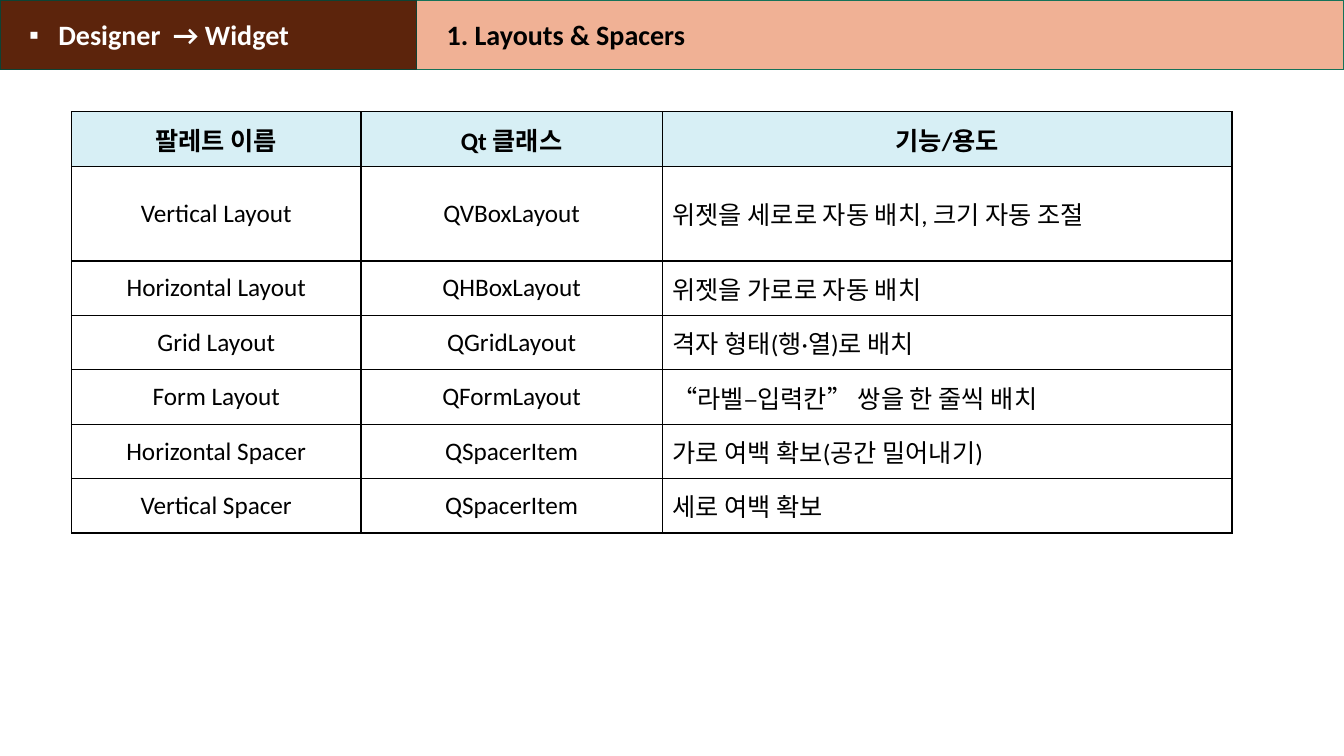
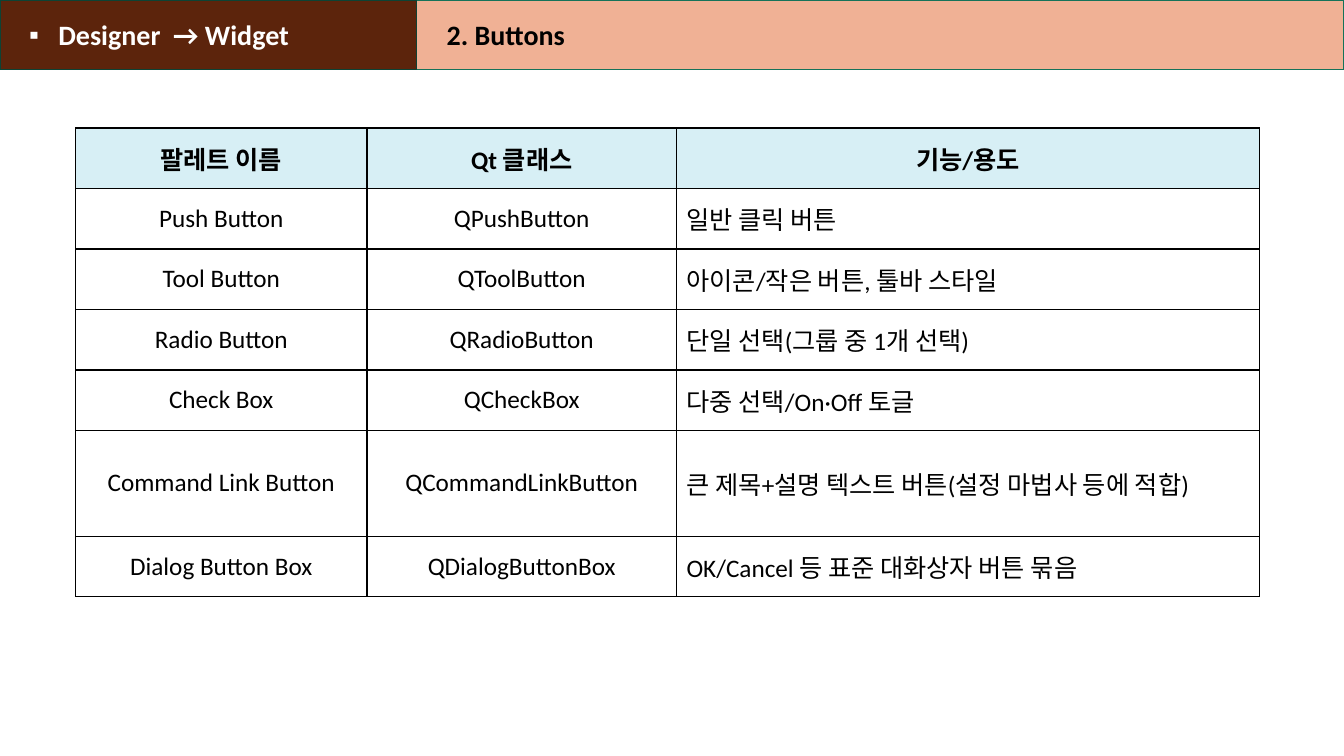
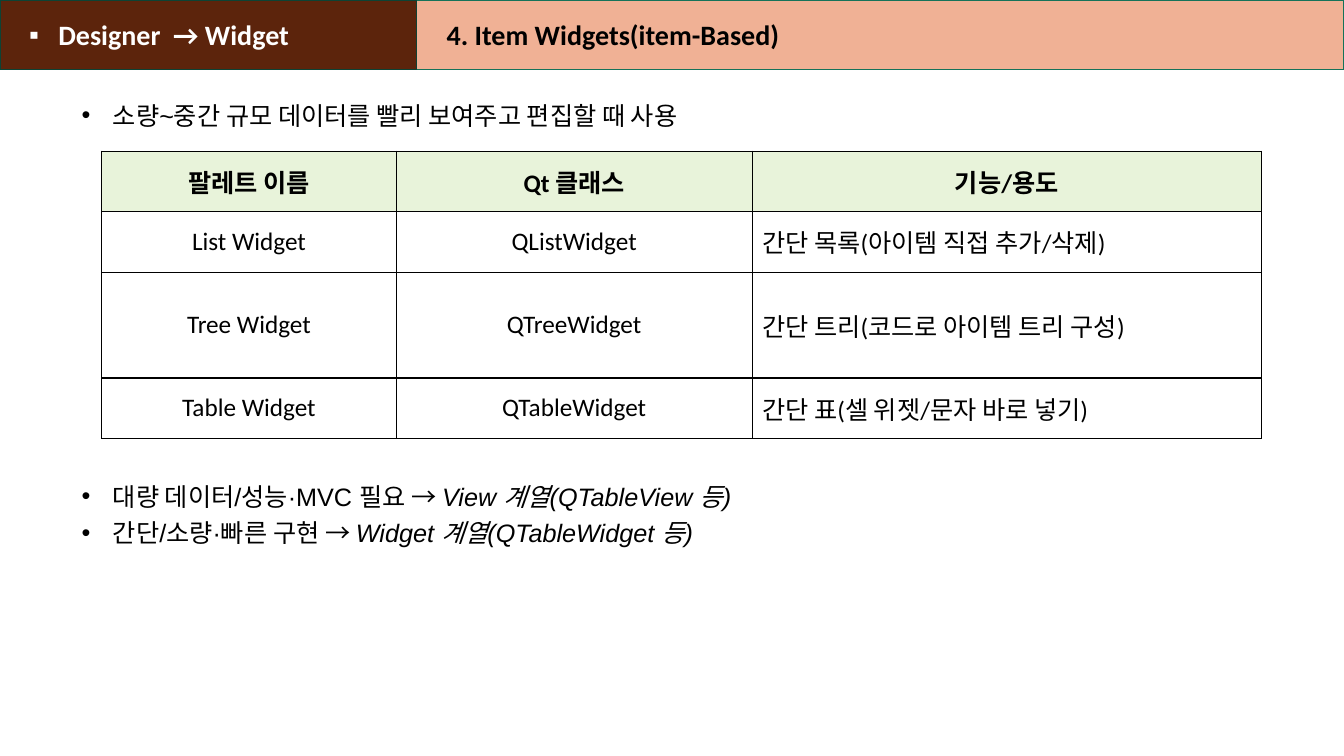
import dataclasses

import lxml.etree
import pptx
import pptx.dml.color
import pptx.enum.shapes
import pptx.enum.text
import pptx.oxml.ns
import pptx.util

Inches, Pt = pptx.util.Inches, pptx.util.Pt
ALIGN = pptx.enum.text.PP_ALIGN
MIDDLE = pptx.enum.text.MSO_ANCHOR.MIDDLE
TOP = pptx.enum.text.MSO_ANCHOR.TOP
qn = pptx.oxml.ns.qn


@dataclasses.dataclass(frozen=True)
class Theme:
    black: str = "000000"
    white: str = "FFFFFF"
    tab_fill: str = "5C240C"
    tab_line: str = "0D4335"
    title_fill: str = "F0B195"
    title_line: str = "157259"
    blue_head: str = "D7EFF5"
    green_head: str = "E8F3DA"
    font: str = "Calibri"
    list_font: str = "Arial"
    title_size: int = 20
    text_size: int = 18
    list_spacing: int = 26
    line_width: int = 1


THEME = Theme()
WIDTH, HEIGHT = 13.33, 7.5
TAB_WIDTH, BAND_HEIGHT = 4.13, 0.69
TAB_BOX = (0, 0, TAB_WIDTH, BAND_HEIGHT)
TITLE_BOX = (TAB_WIDTH, 0, WIDTH - TAB_WIDTH, BAND_HEIGHT)
TITLE_ONLY, TWO_CONTENT = 5, 3
SECTION = "Designer  → Widget"
HEADINGS = ("팔레트 이름", "Qt 클래스", "기능/용도")

SLIDES = [
    dict(
        title="1. Layouts & Spacers",
        at=(0.71, 1.11),
        cols=(2.87, 2.99, 5.65),
        row_height=0.54,
        tall_row=(1, 0.94),
        head=THEME.blue_head,
        rows=[
            ("Vertical Layout", "QVBoxLayout", "위젯을 세로로 자동 배치, 크기 자동 조절"),
            ("Horizontal Layout", "QHBoxLayout", "위젯을 가로로 자동 배치"),
            ("Grid Layout", "QGridLayout", "격자 형태(행·열)로 배치"),
            ("Form Layout", "QFormLayout", "“라벨–입력칸” 쌍을 한 줄씩 배치"),
            ("Horizontal Spacer", "QSpacerItem", "가로 여백 확보(공간 밀어내기)"),
            ("Vertical Spacer", "QSpacerItem", "세로 여백 확보"),
        ],
    ),
    dict(
        title="2. Buttons",
        at=(0.75, 1.27),
        cols=(2.89, 3.07, 5.78),
        row_height=0.6,
        tall_row=(5, 1.05),
        head=THEME.blue_head,
        rows=[
            ("Push Button", "QPushButton", "일반 클릭 버튼"),
            ("Tool Button", "QToolButton", "아이콘/작은 버튼, 툴바 스타일"),
            ("Radio Button", "QRadioButton", "단일 선택(그룹 중 1개 선택)"),
            ("Check Box", "QCheckBox", "다중 선택/On·Off 토글"),
            ("Command Link Button", "QCommandLinkButton", "큰 제목+설명 텍스트 버튼(설정 마법사 등에 적합)"),
            ("Dialog Button Box", "QDialogButtonBox", "OK/Cancel 등 표준 대화상자 버튼 묶음"),
        ],
    ),
    dict(
        title="4. Item Widgets(item-Based)",
        at=(1.01, 1.5),
        cols=(2.92, 3.53, 5.05),
        row_height=0.6,
        tall_row=(2, 1.05),
        head=THEME.green_head,
        rows=[
            ("List Widget", "QListWidget", "간단 목록(아이템 직접 추가/삭제)"),
            ("Tree Widget", "QTreeWidget", "간단 트리(코드로 아이템 트리 구성)"),
            ("Table Widget", "QTableWidget", "간단 표(셀 위젯/문자 바로 넣기)"),
        ],
        # Each list item is a plain part and an italic part
        lists=[
            ((0.71, 0.88, 7.48, 0.43), [("소량~중간 규모 데이터를 빨리 보여주고 편집할 때 사용", "")]),
            ((0.71, 4.66, 7.48, 0.79), [
                ("대량 데이터/성능·MVC 필요 → ", "View 계열(QTableView 등)"),
                ("간단/소량·빠른 구현 → ", "Widget 계열(QTableWidget 등)"),
            ]),
        ],
    ),
]


def rgb(color):
    return pptx.dml.color.RGBColor.from_string(color)


def set_all(target, values):
    for name, value in values.items():
        setattr(target, name, value)


def place(sp, box):
    set_all(sp, dict(zip(("left", "top", "width", "height"), map(Inches, box))))


def add_run(p, text, size, color=THEME.black, font=THEME.font, bold=False, italic=False):
    r = p.add_run()
    r.text = text
    set_all(r.font, dict(name=font, size=Pt(size), bold=bold, italic=italic))
    r.font.color.rgb = rgb(color)


def set_indent(p, left, first=0, bullet=None):
    pPr = p._p.get_or_add_pPr()
    pPr.set("marL", str(Inches(left)))
    pPr.set("indent", str(Inches(first)))
    if bullet:
        lxml.etree.SubElement(pPr, qn("a:buFont")).set("typeface", THEME.list_font)
        lxml.etree.SubElement(pPr, qn("a:buChar")).set("char", bullet)


def format_frame(tf, anchor):
    set_all(tf, dict(word_wrap=True, vertical_anchor=anchor,
                     auto_size=pptx.enum.text.MSO_AUTO_SIZE.NONE))


def format_band(sp, box, text, fill, line, color, **indent):
    place(sp, box)
    sp.fill.solid()
    sp.fill.fore_color.rgb = rgb(fill)
    sp.line.color.rgb = rgb(line)
    sp.line.width = Pt(THEME.line_width)
    format_frame(sp.text_frame, MIDDLE)
    p = sp.text_frame.paragraphs[0]
    p.alignment = ALIGN.LEFT
    set_indent(p, **indent)
    add_run(p, text, THEME.title_size, color, bold=True)


def add_header(s, title):
    # Title band, then the section tab beside it
    format_band(s.shapes.title, TITLE_BOX, title, THEME.title_fill,
                THEME.title_line, THEME.black, left=0.2)
    tab = s.shapes.add_shape(pptx.enum.shapes.MSO_SHAPE.RECTANGLE, *map(Inches, TAB_BOX))
    tab.shadow.inherit = False
    format_band(tab, TAB_BOX, SECTION, THEME.tab_fill, THEME.tab_line,
                THEME.white, left=0.48, first=-0.29, bullet="▪")


def add_borders(cell):
    tcPr = cell._tc.get_or_add_tcPr()
    for i, side in enumerate("LRTB"):
        ln = lxml.etree.Element(qn("a:ln" + side), w=str(Pt(THEME.line_width)))
        fill = lxml.etree.SubElement(ln, qn("a:solidFill"))
        lxml.etree.SubElement(fill, qn("a:srgbClr")).set("val", THEME.black)
        tcPr.insert(i, ln)


def format_cell(cell, text, align, head=None):
    cell.vertical_anchor = MIDDLE
    if head:
        cell.fill.solid()
        cell.fill.fore_color.rgb = rgb(head)
    else:
        cell.fill.background()
    add_borders(cell)
    p = cell.text_frame.paragraphs[0]
    p.alignment = align
    add_run(p, text, THEME.text_size, bold=bool(head))


def add_class_table(s, at, cols, rows, row_height, tall_row, head):
    rows = [HEADINGS, *rows]
    heights = [row_height] * len(rows)
    heights[tall_row[0]] = tall_row[1]
    box = (*at, sum(cols), sum(heights))
    table = s.shapes.add_table(len(rows), len(cols), *map(Inches, box)).table
    set_all(table, dict(first_row=False, horz_banding=False))
    for col, width in zip(table.columns, cols):
        col.width = Inches(width)
    for row, height in zip(table.rows, heights):
        row.height = Inches(height)
    for i, texts in enumerate(rows):
        for j, text in enumerate(texts):
            # Only descriptions are left-aligned
            align = ALIGN.LEFT if i and j == 2 else ALIGN.CENTER
            format_cell(table.cell(i, j), text, align, head if i == 0 else None)


def fill_list(sp, box, items):
    place(sp, box)
    tf = sp.text_frame
    format_frame(tf, TOP)
    for i, (plain, italic) in enumerate(items):
        p = tf.add_paragraph() if i else tf.paragraphs[0]
        set_all(p, dict(line_spacing=Pt(THEME.list_spacing), space_before=Pt(0),
                        alignment=ALIGN.LEFT))
        set_indent(p, 0.31, -0.31, "•")
        add_run(p, plain, THEME.text_size, font=THEME.list_font)
        if italic:
            add_run(p, italic, THEME.text_size, font=THEME.list_font, italic=True)


def add_class_slide(prs, title, lists=(), **table):
    layout = prs.slide_layouts[TWO_CONTENT if lists else TITLE_ONLY]
    s = prs.slides.add_slide(layout)
    add_header(s, title)
    add_class_table(s, **table)
    # Notes above and below the table
    bodies = list(s.placeholders)[1:]
    for sp, (box, items) in zip(bodies, lists):
        fill_list(sp, box, items)


def main():
    prs = pptx.Presentation()
    set_all(prs, dict(slide_width=Inches(WIDTH), slide_height=Inches(HEIGHT)))
    for content in SLIDES:
        add_class_slide(prs, **content)
    prs.save("out.pptx")


if __name__ == "__main__":
    main()
